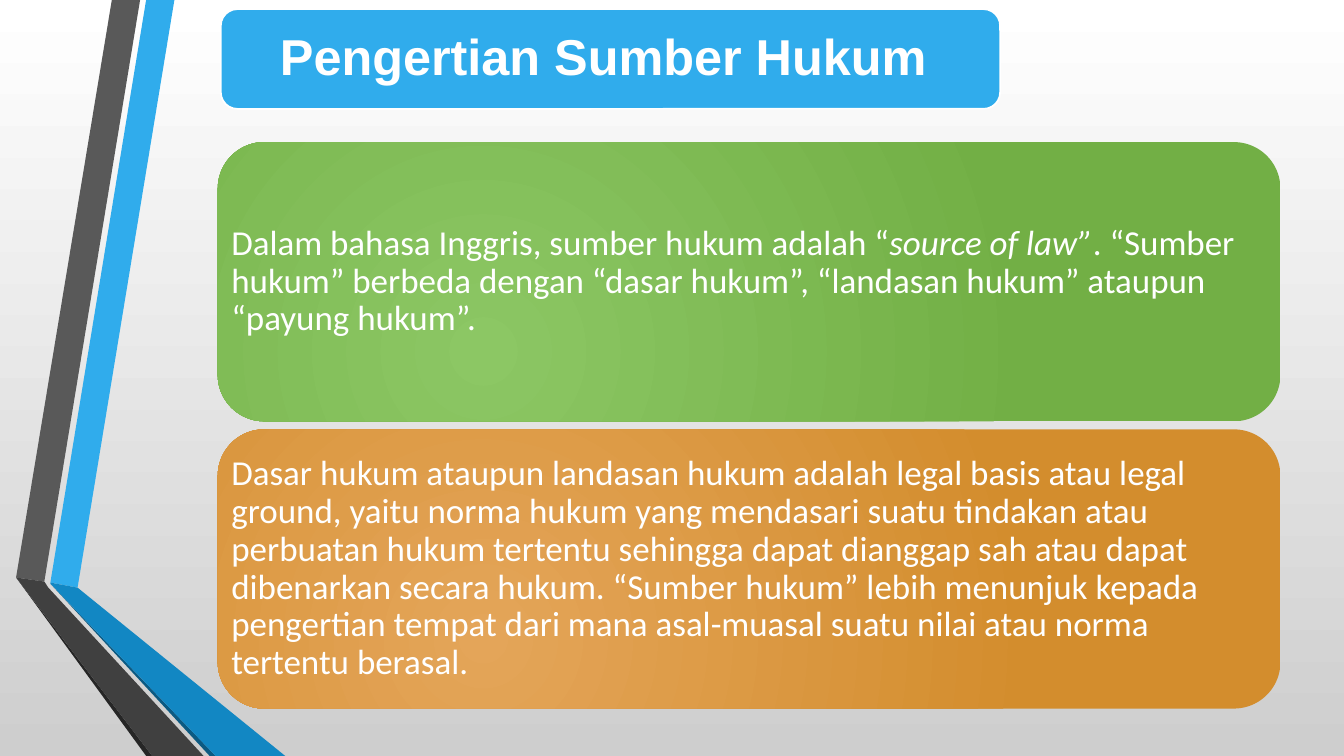
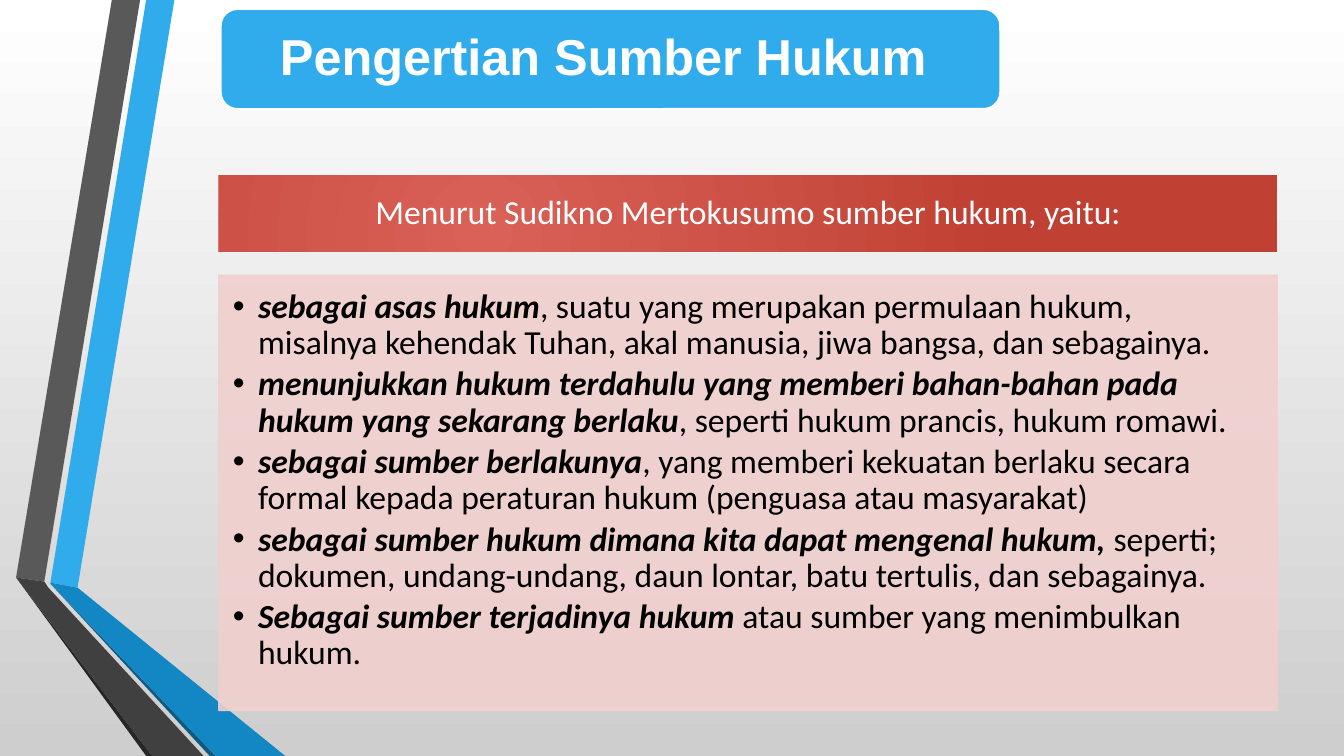
from lxml import etree
from pptx import Presentation
from pptx.dml.color import RGBColor
from pptx.enum.shapes import MSO_SHAPE as Shape
from pptx.enum.text import MSO_ANCHOR as Anchor, PP_ALIGN as Align
from pptx.oxml.ns import qn
from pptx.util import Inches, Pt

COLORS = {
    "white": "FFFFFF", "black": "000000", "silver": "CECECE",
    "blue": "30ACEC", "blue_deep": "1287C3", "blue_dark": "0C5A82",
    "gray": "595959", "gray_deep": "404040", "gray_dark": "262626",
    "green_light": "8CC764", "green": "72AF45",
    "orange_light": "E4A559", "orange": "D38D2D",
    "red_light": "D96157", "red": "C04033", "pink": "F0D0CE",
}
TITLE = "Pengertian Sumber Hukum "
BODY_FONT = "Calibri"
RIBBONS = [
    ("blue", [(0.5, 5.78), (0.77, 5.83), (1.73, 0), (1.45, 0)]),
    ("gray", [(1.39, 0), (1.11, 0), (0.16, 5.73), (0.44, 5.77)]),
    ("gray_dark", [(0.16, 5.73), (1.45, 7.5), (1.51, 7.5)]),
    ("blue_dark", [(0.5, 5.79), (2.08, 7.5), (2.14, 7.5)]),
    ("blue_deep", [(0.5, 5.79), (2.14, 7.5), (2.83, 7.5), (0.77, 5.83), (0.5, 5.78)]),
    ("gray_deep", [(2.02, 7.5), (0.48, 5.83), (0.44, 5.77), (0.16, 5.73), (1.51, 7.5)]),
]
CARDS = [
    ("green", [
        ("Dalam bahasa Inggris, sumber hukum adalah “", False),
        ("source of law”", True),
        (". “Sumber hukum” berbeda dengan “dasar hukum”, “landasan hukum” "
         "ataupun “payung hukum”.", False),
    ]),
    ("orange", [
        ("Dasar hukum ataupun landasan hukum adalah legal basis atau legal ground, "
         "yaitu norma hukum yang mendasari suatu tindakan atau perbuatan hukum "
         "tertentu sehingga dapat dianggap sah atau dapat dibenarkan secara hukum. "
         "“Sumber hukum” lebih menunjuk kepada pengertian tempat dari mana "
         "asal-muasal suatu nilai atau norma tertentu berasal.", False),
    ]),
]
MEANINGS = [
    ("sebagai asas hukum",
     ", suatu yang merupakan permulaan hukum, misalnya kehendak Tuhan, "
     "akal manusia, jiwa bangsa, dan sebagainya."),
    ("menunjukkan hukum terdahulu yang memberi bahan-bahan pada hukum "
     "yang sekarang berlaku",
     ", seperti hukum prancis, hukum romawi."),
    ("sebagai sumber berlakunya",
     ", yang memberi kekuatan berlaku secara formal kepada peraturan hukum "
     "(penguasa atau masyarakat)"),
    ("sebagai sumber hukum dimana kita dapat mengenal hukum,",
     " seperti; dokumen, undang-undang, daun lontar, batu tertulis, dan sebagainya."),
    ("Sebagai sumber terjadinya hukum",
     " atau sumber yang menimbulkan hukum."),
]


def color(name):
    return RGBColor.from_string(COLORS[name])


def fill_gradient(fill, first, last):
    fill.gradient()
    for stop, name in zip(fill.gradient_stops, (first, last)):
        stop.color.rgb = color(name)


def fill_radial(box, first, last):
    fill_gradient(box.fill, first, last)
    gradient = box._element.spPr.find(qn("a:gradFill"))
    linear = gradient.find(qn("a:lin"))
    circle = etree.Element(qn("a:path"), path="circle")
    etree.SubElement(circle, qn("a:fillToRect"),
                     l="50000", t="100000", r="100000", b="50000")
    gradient.replace(linear, circle)


def fill_solid(box, name):
    box.fill.solid()
    box.fill.fore_color.rgb = color(name)


def set_opacity(box, percent):
    for tint in box._element.spPr.iter(qn("a:srgbClr")):
        etree.SubElement(tint, qn("a:alpha"), val=str(percent * 1000))


def add_box(page, kind, place, margins, anchor=Anchor.MIDDLE):
    box = page.shapes.add_shape(kind, *map(Inches, place))
    box.shadow.inherit = False
    box.line.fill.background()
    frame = box.text_frame
    frame.word_wrap = True
    frame.vertical_anchor = anchor
    (frame.margin_left, frame.margin_top,
     frame.margin_right, frame.margin_bottom) = map(Inches, margins)
    return box


def format_para(para, align=Align.LEFT):
    para.alignment = align
    para.line_spacing = 0.9
    return para


def add_run(para, text, size, name="white", font=BODY_FONT, bold=False, italic=False):
    span = para.add_run()
    span.text = text
    span.font.name = font
    span.font.size = Pt(size)
    span.font.bold = bold
    span.font.italic = italic
    span.font.color.rgb = color(name)


def add_bullet(para):
    props = para._p.get_or_add_pPr()
    props.set("marL", str(Inches(0.25)))
    props.set("indent", str(-Inches(0.25)))
    etree.SubElement(props, qn("a:buFont"), typeface="Arial")
    etree.SubElement(props, qn("a:buChar"), char="•")


def add_ribbon(page, name, points):
    start, *rest = [(Inches(x), Inches(y)) for x, y in points]
    builder = page.shapes.build_freeform(*start)
    builder.add_line_segments(rest, close=True)
    ribbon = builder.convert_to_shape()
    ribbon.shadow.inherit = False
    fill_solid(ribbon, name)
    ribbon.line.fill.background()


def add_page(deck):
    page = deck.slides.add_slide(deck.slide_layouts[6])
    for name, points in RIBBONS:
        add_ribbon(page, name, points)
    banner = add_box(page, Shape.ROUNDED_RECTANGLE, (2.19, 0.09, 7.73, 0.99), [0.1] * 4)
    fill_solid(banner, "blue")
    banner.line.color.rgb = color("white")
    banner.line.width = Pt(1.25)
    para = format_para(banner.text_frame.paragraphs[0], Align.CENTER)
    add_run(para, TITLE, 36, font="Arial", bold=True)
    return page


def add_card(page, top, name, spans):
    card = add_box(page, Shape.ROUNDED_RECTANGLE, (2.16, top, 10.54, 2.77), [0] * 4)
    fill_radial(card, f"{name}_light", name)
    para = format_para(card.text_frame.paragraphs[0])
    for text, italic in spans:
        add_run(para, text, 25, italic=italic)


def add_heading(page, text):
    heading = add_box(page, Shape.RECTANGLE, (2.17, 1.74, 10.5, 0.76),
                      (0.19, 0.11, 0.19, 0.11))
    fill_radial(heading, "red_light", "red")
    add_run(format_para(heading.text_frame.paragraphs[0], Align.CENTER), text, 24)


def add_bullet_panel(page, items):
    panel = add_box(page, Shape.RECTANGLE, (2.17, 2.73, 10.5, 4.32),
                    (0.14, 0.14, 0.19, 0.21), Anchor.TOP)
    fill_solid(panel, "pink")
    panel.line.color.rgb = color("pink")
    panel.line.width = Pt(0.75)
    set_opacity(panel, 90)
    frame = panel.text_frame
    for index, (lead, detail) in enumerate(items):
        para = frame.add_paragraph() if index else frame.paragraphs[0]
        add_bullet(para)
        format_para(para)
        para.space_after = Pt(3.6)
        add_run(para, lead, 24, "black", bold=True, italic=True)
        add_run(para, detail, 24, "black")


def main():
    deck = Presentation()
    deck.slide_width, deck.slide_height = Inches(13.33), Inches(7.5)
    backdrop = deck.slide_master.background.fill
    fill_gradient(backdrop, "white", "silver")
    backdrop.gradient_angle = 270

    definition = add_page(deck)
    for index, (name, spans) in enumerate(CARDS):
        add_card(definition, 1.41 + index * 2.85, name, spans)

    meanings = add_page(deck)
    add_heading(meanings, "Menurut Sudikno Mertokusumo sumber hukum, yaitu:")
    add_bullet_panel(meanings, MEANINGS)

    deck.save("out.pptx")


if __name__ == "__main__":
    main()
